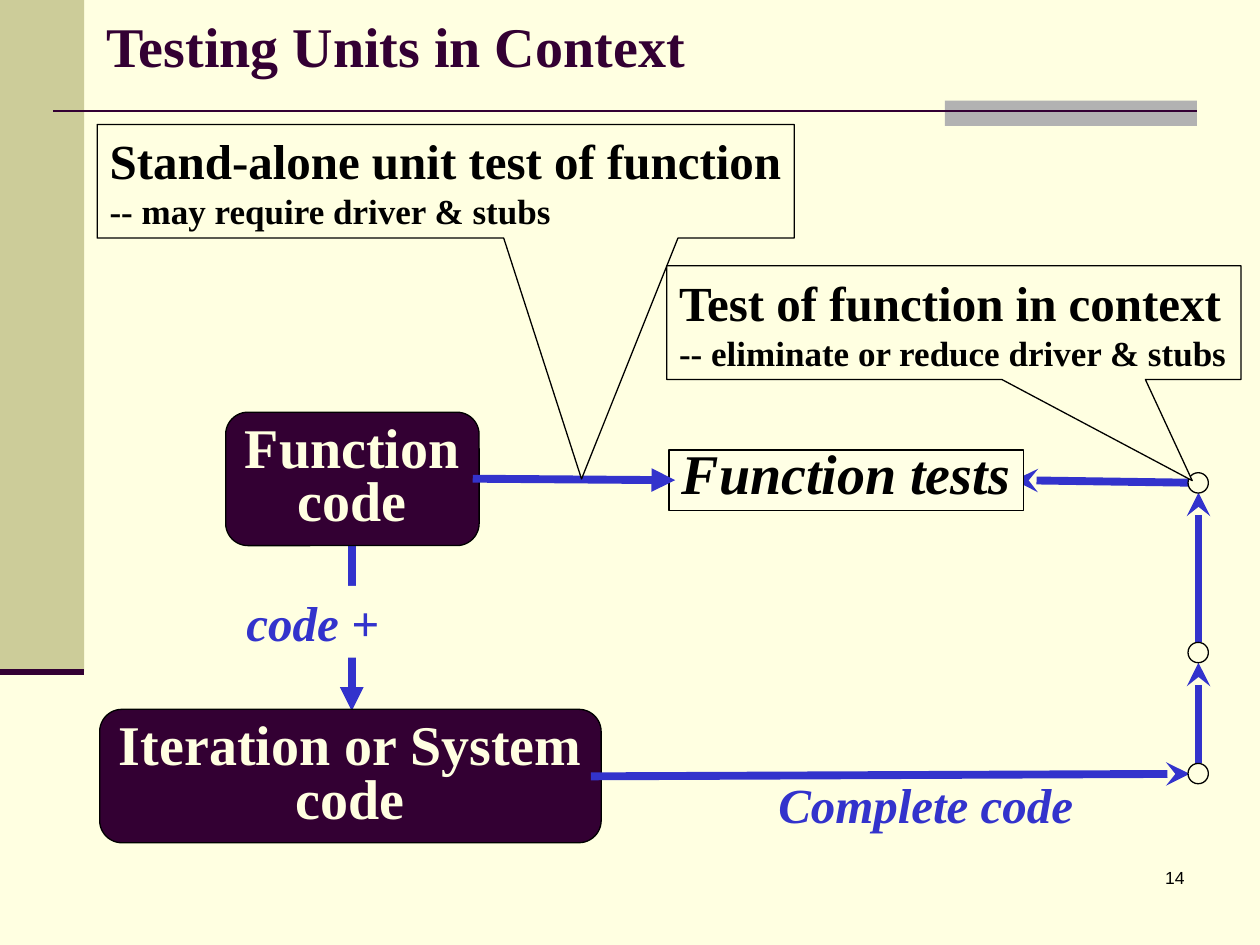
"""Build the slide on testing units in context."""
import pptx
import pptx.dml.color
import pptx.enum.shapes
import pptx.enum.text
import pptx.oxml
import pptx.oxml.ns
import pptx.util

Cm = pptx.util.Cm
Pt = pptx.util.Pt
RGBColor = pptx.dml.color.RGBColor
Kind = pptx.enum.shapes.MSO_SHAPE
Align = pptx.enum.text.PP_ALIGN
Anchor = pptx.enum.text.MSO_ANCHOR
Fit = pptx.enum.text.MSO_AUTO_SIZE

CREAM = RGBColor(0xFF, 0xFF, 0xE1)
PALE = RGBColor(0xFF, 0xFF, 0xE5)
PLUM = RGBColor(0x33, 0x00, 0x33)
BLUE = RGBColor(0x33, 0x33, 0xCC)
OLIVE = RGBColor(0xCC, 0xCC, 0x99)
GREY = RGBColor(0xB2, 0xB2, 0xB2)
BLACK = RGBColor(0, 0, 0)

SERIF = {"name": "Times New Roman", "bold": True}
NOTE = SERIF | {"color": BLACK}
NODE = SERIF | {"color": CREAM, "size": Pt(32)}
LABEL = SERIF | {"color": BLUE, "size": Pt(28), "italic": True}
TESTS = NOTE | {"size": Pt(32), "italic": True}
HEAD = SERIF | {"color": PLUM, "size": Pt(32)}
PAGE = {"name": "Arial", "color": BLACK, "size": Pt(10)}

deck = pptx.Presentation()
deck.slide_width, deck.slide_height = Cm(25.4), Cm(19.05)
slide = deck.slides.add_slide(deck.slide_layouts[6])
slide.background.fill.solid()
slide.background.fill.fore_color.rgb = CREAM


def draw(kind, box, fill, edge=None, lines=(), align=Align.LEFT, pitch=None,
         anchor=Anchor.TOP, wrap=False, fit=Fit.SHAPE_TO_FIT_TEXT):
    place = [Cm(n) for n in box]
    if kind is None:
        shape = slide.shapes.add_textbox(*place)
    else:
        shape = slide.shapes.add_shape(kind, *place)
        shape.shadow.inherit = False
        shape.fill.solid()
        shape.fill.fore_color.rgb = fill
        if edge is None:
            shape.line.fill.background()
        else:
            shape.line.color.rgb = edge
            shape.line.width = Pt(0.75)
    frame = shape.text_frame
    if lines:
        frame.word_wrap, frame.auto_size = wrap, fit
        frame.vertical_anchor = anchor
    for i, (text, style) in enumerate(lines):
        para = frame.add_paragraph() if i else frame.paragraphs[0]
        para.alignment = align
        para.line_spacing = pitch
        run = para.add_run()
        run.text = text
        for key, value in style.items():
            if key == "color":
                run.font.color.rgb = value
            else:
                setattr(run.font, key, value)
    return shape


def join(ends, color=BLUE, width=4.5, head=None):
    line = slide.shapes.add_connector(
        pptx.enum.shapes.MSO_CONNECTOR.STRAIGHT, *[Cm(n) for n in ends])
    line.line.color.rgb = color
    line.line.width = Pt(width)
    if head:
        tip = pptx.oxml.parse_xml(
            f'<a:tailEnd {pptx.oxml.ns.nsdecls("a")} type="{head}"/>')
        line.line._get_or_add_ln().append(tip)
    line._element.spPr.append(pptx.oxml.parse_xml(
        f'<a:effectLst {pptx.oxml.ns.nsdecls("a")}/>'))


draw(Kind.RECTANGLE, (0, 0, 1.7, 13.54), OLIVE)
draw(Kind.RECTANGLE, (19.05, 2.03, 5.08, 0.51), GREY)
join((1.07, 2.24, 24.13, 2.24), PLUM, 1.5)
join((0, 13.54, 1.7, 13.54), PLUM, 3.5)

draw(Kind.RECTANGLE, (15.44, 15.49, 6.45, 1.45), CREAM,
     lines=[("Complete code", LABEL)])
join((7.09, 10.95, 7.09, 14.33), head="triangle")
for box, name in [((2.01, 14.3, 10.11, 2.69), "Iteration or System"),
                  ((4.55, 8.31, 5.11, 2.69), "Function")]:
    draw(Kind.ROUNDED_RECTANGLE, box, PLUM, BLACK,
         [(name, NODE), ("code", NODE)], Align.CENTER, 0.8, Anchor.MIDDLE)

for ends in [(11.91, 15.65, 23.98, 15.6), (24.16, 15.39, 24.16, 13.36),
             (24.16, 12.95, 24.16, 9.93), (23.95, 9.73, 20.45, 9.68)]:
    join(ends, head="stealth")
for top in (15.39, 12.95, 9.53):
    draw(Kind.OVAL, (23.95, top, 0.41, 0.41), CREAM, BLACK)

draw(Kind.RECTANGLE, (4.72, 11.81, 3.18, 1.45), CREAM,
     lines=[("code +", LABEL)])
draw(Kind.RECTANGLE, (13.49, 9.07, 7.14, 1.22), PALE, BLACK,
     [("Function tests", TESTS)], Align.CENTER, 0.7, Anchor.MIDDLE)
join((9.53, 9.65, 13.61, 9.68), head="triangle")

for box, tip, first, second in [
        ((1.96, 2.51, 14.05, 2.29), (0.195, 2.621),
         "Stand-alone unit test of function", "-- may require driver & stubs"),
        ((13.44, 5.36, 11.58, 2.29), (0.415, 1.391),
         "Test of function in context",
         "-- eliminate or reduce driver & stubs")]:
    call = draw(Kind.RECTANGULAR_CALLOUT, box, CREAM, BLACK,
                [(first, NOTE | {"size": Pt(28)}),
                 (second, NOTE | {"size": Pt(20)})], anchor=Anchor.MIDDLE)
    call.adjustments[0], call.adjustments[1] = tip

draw(None, (1.9, 0.48, 16.08, 1.22), None, pitch=0.7, wrap=True,
     lines=[("Testing Units in Context", HEAD)])
draw(None, (18.85, 17.35, 5.28, 1.27), None, lines=[("14", PAGE)],
     align=Align.RIGHT, wrap=True, fit=Fit.NONE)

deck.save("out.pptx")
